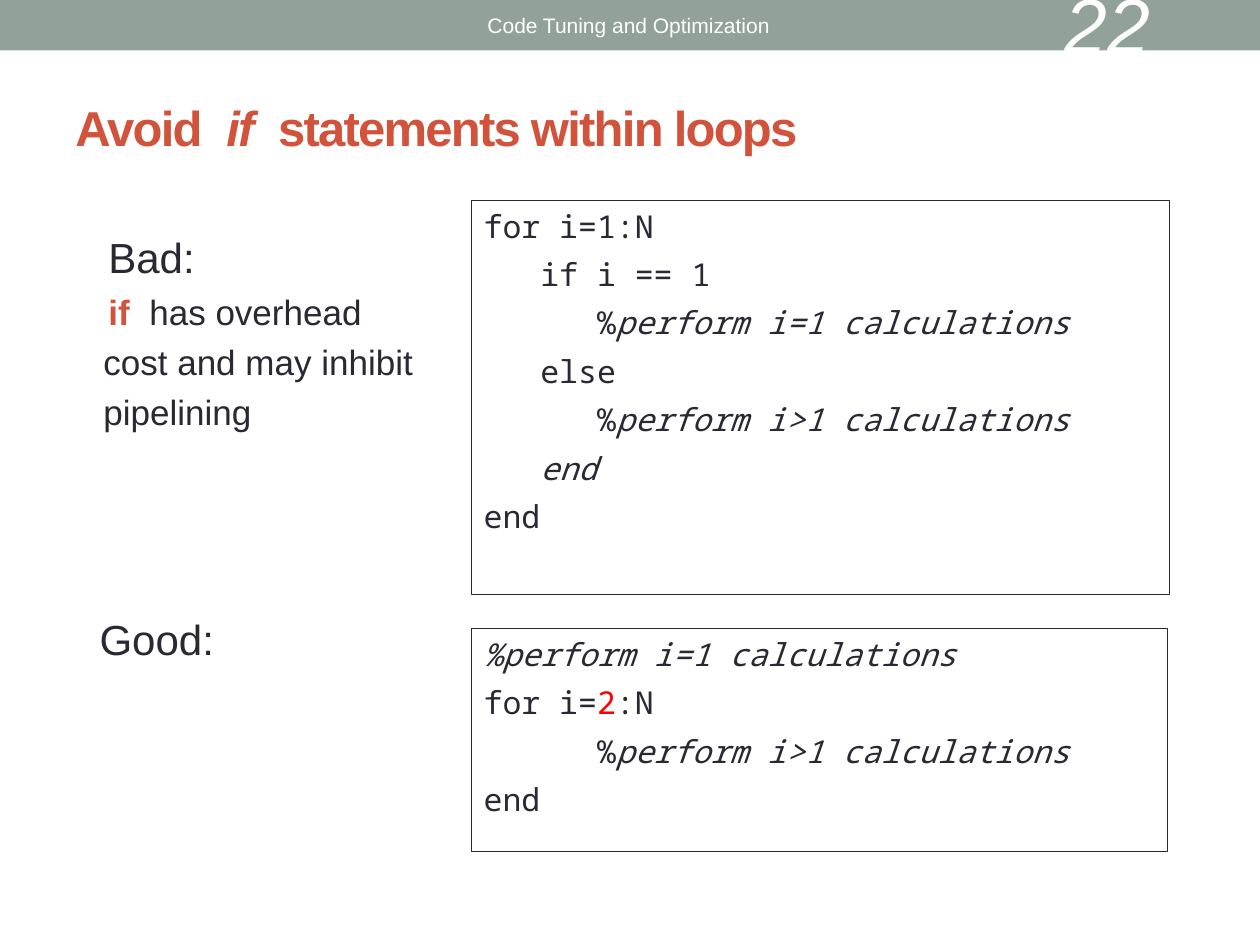
from dataclasses import dataclass

from pptx import Presentation
from pptx.dml.color import RGBColor
from pptx.enum import shapes, text
from pptx.util import Inches, Pt


@dataclass(frozen=True)
class Theme:
    sans: str = "Arial"
    mono: str = "Noto Sans Mono"
    ink: str = "292934"
    accent: str = "D2533C"
    highlight: str = "FF0000"
    band: str = "93A299"
    white: str = "FFFFFF"
    title: int = 28
    heading: int = 24
    body: int = 20
    code: int = 18
    footer: int = 12
    number: int = 44


THEME = Theme()


@dataclass(frozen=True)
class Box:
    left: float
    top: float
    width: float
    height: float

    def lengths(self):
        return [Inches(n) for n in (self.left, self.top, self.width, self.height)]


@dataclass(frozen=True)
class Run:
    text: str
    italic: bool = False
    bold: bool = False
    color: str | None = None


@dataclass(frozen=True)
class CodePanel:
    box: Box
    lines: list[list[Run]]


def add_rectangle(slide, box: Box, fill: str, line: str | None = None):
    shape = slide.shapes.add_shape(shapes.MSO_SHAPE.RECTANGLE, *box.lengths())
    shape.shadow.inherit = False
    shape.fill.solid()
    shape.fill.fore_color.rgb = RGBColor.from_string(fill)
    if line:
        shape.line.color.rgb = RGBColor.from_string(line)
        shape.line.width = Pt(0.5)
    else:
        shape.line.fill.background()
    return shape


def write_paragraph(frame, runs: list[Run], *, size: float, font: str = THEME.sans,
                    color: str = THEME.ink, before: float = 0, indent: float = 0,
                    align=text.PP_ALIGN.LEFT, tracking: float = 0):
    """Fill the frame's first paragraph if it is empty, otherwise append one."""
    first = frame.paragraphs[0]
    paragraph = frame.add_paragraph() if first.runs else first
    paragraph.alignment = align
    paragraph.space_before = Pt(before)
    if indent:
        paragraph._p.get_or_add_pPr().set("marL", str(Inches(indent)))
    for part in runs:
        run = paragraph.add_run()
        run.text = part.text
        run.font.name = font
        run.font.size = Pt(size)
        run.font.bold = part.bold
        run.font.italic = part.italic
        run.font.color.rgb = RGBColor.from_string(part.color or color)
        if tracking:
            run._r.get_or_add_rPr().set("spc", str(round(tracking * 100)))


def add_text_frame(slide, box: Box, anchor=text.MSO_ANCHOR.MIDDLE, inset: float = 0.1):
    frame = slide.shapes.add_textbox(*box.lengths()).text_frame
    frame.word_wrap = True
    frame.vertical_anchor = anchor
    frame.margin_left = frame.margin_right = Inches(inset)
    frame.margin_top = frame.margin_bottom = Inches(inset / 2)
    return frame


def add_code_panel(slide, panel: CodePanel):
    frame = add_rectangle(slide, panel.box, THEME.white, THEME.ink).text_frame
    frame.word_wrap = True
    frame.vertical_anchor = text.MSO_ANCHOR.TOP
    for index, line in enumerate(panel.lines):
        write_paragraph(frame, line, size=THEME.code, font=THEME.mono,
                        before=6.1 if index else 0)


def add_header(slide):
    add_rectangle(slide, Box(0, 0, 10, 0.4), THEME.band)
    footer = add_text_frame(slide, Box(2.74, 0.02, 4.5, 0.36))
    write_paragraph(footer, [Run("Code Tuning and Optimization")], size=THEME.footer,
                    color=THEME.white, align=text.PP_ALIGN.CENTER)
    number = add_text_frame(slide, Box(8.35, 0, 1.17, 0.36))
    write_paragraph(number, [Run("22", italic=True)], size=THEME.number,
                    color=THEME.white)


def add_title(slide):
    title = add_text_frame(slide, Box(0.5, 0.47, 9.21, 1.08))
    write_paragraph(title, [Run("Avoid  ", bold=True),
                            Run("if ", bold=True, italic=True),
                            Run(" statements within loops", bold=True)],
                    size=THEME.title, color=THEME.accent, tracking=-1)


def add_verdicts(slide):
    top = text.MSO_ANCHOR.TOP
    bad = add_text_frame(slide, Box(0.82, 1.84, 2.85, 1.7), top, inset=0)
    write_paragraph(bad, [Run("Bad:")], size=THEME.heading, indent=0.04)
    write_paragraph(bad, [Run("if  ", bold=True, color=THEME.accent),
                          Run("has overhead")],
                    size=THEME.body, before=4.6, indent=0.04)
    for line in ("cost and may inhibit", "pipelining"):
        write_paragraph(bad, [Run(line)], size=THEME.body, before=4.6)
    good = add_text_frame(slide, Box(0.79, 4.87, 2.85, 0.4), top, inset=0)
    write_paragraph(good, [Run("Good:")], size=THEME.heading)


def comment(condition: str) -> list[Run]:
    return [Run("      %"), Run(f"perform {condition} calculations", italic=True)]


CODE_PANELS = [
    CodePanel(Box(3.74, 1.59, 5.54, 3.13), [
        [Run("for i=1:N")],
        [Run("   if i == 1")],
        comment("i=1"),
        [Run("   else")],
        comment("i>1"),
        [Run("   end", italic=True)],
        [Run("end")],
    ]),
    CodePanel(Box(3.74, 4.99, 5.53, 1.77), [
        [Run("%perform i=1 calculations", italic=True)],
        [Run("for i="), Run("2", color=THEME.highlight), Run(":N")],
        comment("i>1"),
        [Run("end")],
    ]),
]


def main():
    presentation = Presentation()
    presentation.slide_width = Inches(10)
    presentation.slide_height = Inches(7.5)
    slide = presentation.slides.add_slide(presentation.slide_layouts[6])
    add_header(slide)
    add_title(slide)
    add_verdicts(slide)
    for panel in CODE_PANELS:
        add_code_panel(slide, panel)
    presentation.save("out.pptx")


if __name__ == "__main__":
    main()
